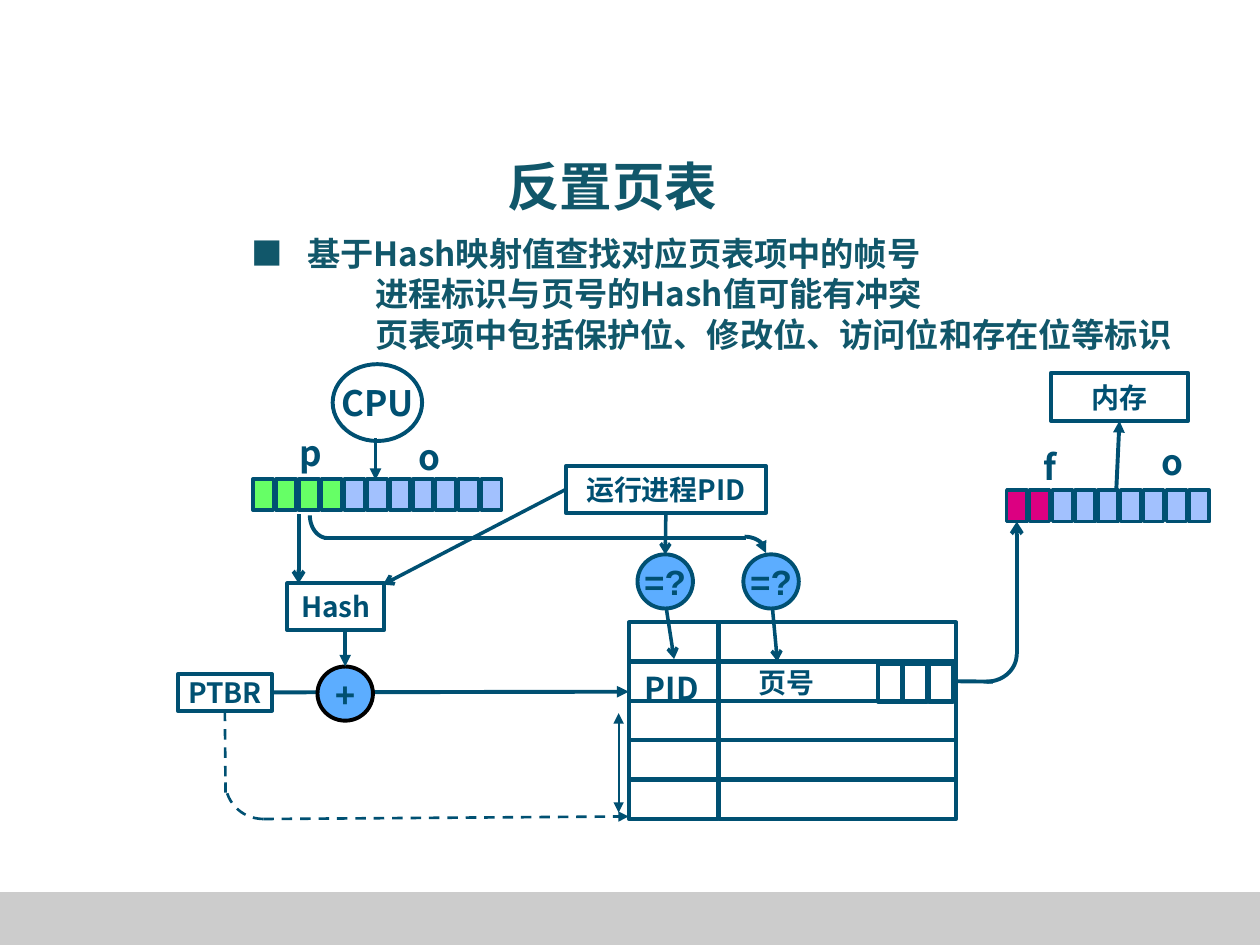
import math

from lxml import etree
from pptx import Presentation
from pptx import util as u
from pptx.dml import color
from pptx.enum import dml, shapes, text
from pptx.oxml import ns

COLORS = {
    "title": "11576A",
    "ink": "005072",
    "black": "000000",
    "footer": "CCCCCC",
    "circle": "5CADFF",
    "page": "66FF66",
    "offset": "A2C1FE",
    "frame": "DC0081",
}
CJK = "Noto Sans CJK SC"
COLUMNS, ROWS = 100, 75
RECT = shapes.MSO_SHAPE.RECTANGLE
OVAL = shapes.MSO_SHAPE.OVAL


class Diagram:
    def __init__(self, presentation):
        self.slide = presentation.slides.add_slide(presentation.slide_layouts[6])
        self.column = presentation.slide_width / COLUMNS
        self.row = presentation.slide_height / ROWS

    def place(self, x, y):
        return round(x * self.column), round(y * self.row)

    def rgb(self, name):
        return color.RGBColor.from_string(COLORS[name])

    def set_text(self, shape, words, size, tint, font=CJK, align=None, wrap=False):
        frame = shape.text_frame
        frame.word_wrap = wrap
        frame.vertical_anchor = text.MSO_ANCHOR.MIDDLE
        paragraph = frame.paragraphs[0]
        paragraph.add_run().text = words
        paragraph.alignment = align
        paragraph.font.size = u.Pt(size)
        paragraph.font.bold = True
        paragraph.font.color.rgb = self.rgb(tint)
        paragraph.font.name = font
        properties = paragraph._p.xpath(".//a:defRPr")[0]
        etree.SubElement(properties, ns.qn("a:ea")).set("typeface", font)
        return paragraph

    def label(self, words, x, y, width, height, size=20, tint="ink", font=CJK, align=None):
        box = self.slide.shapes.add_textbox(*self.place(x, y), *self.place(width, height))
        return self.set_text(box, words, size, tint, font, align, wrap=True)

    def box(self, x, y, width, height, words="", kind=RECT, size=16, font=CJK,
            fill=None, line="ink", weight=2.25):
        shape = self.slide.shapes.add_shape(kind, *self.place(x, y), *self.place(width, height))
        shape.shadow.inherit = False
        if fill:
            shape.fill.solid()
            shape.fill.fore_color.rgb = self.rgb(fill)
        else:
            shape.fill.background()
        if line:
            self.stroke(shape, weight, color_name=line)
        else:
            shape.line.fill.background()
        if words:
            self.set_text(shape, words, size, "ink", font, text.PP_ALIGN.CENTER)
        return shape

    def circle(self, words, x, y, line="ink"):
        return self.box(x, y, 4.4, 4.3, words, OVAL, 20, "Arial", "circle", line)

    def cells(self, x, y, fills):
        for index, fill in enumerate(fills):
            self.box(x + index * 1.81, y, 1.6, 2.5, fill=fill, weight=2)

    def stroke(self, shape, weight, dashed=False, head=None, tail=None, color_name="ink"):
        shape.line.color.rgb = self.rgb(color_name)
        shape.line.width = u.Pt(weight)
        if dashed:
            shape.line.dash_style = dml.MSO_LINE.DASH
        outline = shape.line._get_or_add_ln()
        for tag, kind in (("a:headEnd", head), ("a:tailEnd", tail)):
            if kind:
                etree.SubElement(outline, ns.qn(tag)).set("type", kind)

    def line(self, start, end, weight=2.25, begin=None, finish=None, **style):
        connector = self.slide.shapes.add_connector(
            shapes.MSO_CONNECTOR.STRAIGHT, *self.place(*start), *self.place(*end))
        if begin:
            connector.begin_connect(*begin)
        if finish:
            connector.end_connect(*finish)
        self.stroke(connector, weight, **style)
        etree.SubElement(connector._element.spPr, ns.qn("a:effectLst"))

    def bend(self, start, end, weight=2.25, **style):
        (x0, y0), (x1, y1) = start, end
        angles = [math.radians(degrees) for degrees in range(0, 91, 6)]
        points = [self.place(x0 + (x1 - x0) * math.sin(a), y1 + (y0 - y1) * math.cos(a))
                  for a in angles]
        builder = self.slide.shapes.build_freeform(*points[0])
        builder.add_line_segments(points[1:], close=False)
        shape = builder.convert_to_shape()
        shape.shadow.inherit = False
        shape.fill.background()
        self.stroke(shape, weight, **style)


def draw_heading(diagram):
    diagram.box(0, 70.8, 100, 4.2, fill="footer", line=None)
    title = diagram.label("反置页表", 23.6, 12.1, 50, 5.8, 30, "title",
                          align=text.PP_ALIGN.CENTER)
    title.line_spacing = 0.95
    diagram.label("■", 19, 18.1, 4.5, 4, 18, "title", "Noto Sans CJK JP")
    for words, x, y, width in (
        ("基于Hash映射值查找对应页表项中的帧号", 23.4, 18, 75),
        ("进程标识与页号的Hash值可能有冲突", 28.8, 21.2, 50),
        ("页表项中包括保护位、修改位、访问位和存在位等标识", 28.8, 24.4, 68.8),
    ):
        diagram.label(words, x, y, width, 4.2, 19, "title")


def draw_addresses(diagram):
    diagram.box(26.4, 28.9, 7.1, 6.1, "CPU", OVAL, 20)
    diagram.line((29.8, 34.8), (29.8, 38.1), tail="triangle")
    diagram.cells(20.1, 38, ["page"] * 4 + ["offset"] * 7)
    memory = diagram.box(83.4, 29.6, 10.9, 3.8, "内存")
    diagram.line((88.6, 38.8), (88.6, 33.4), finish=(memory, 2), tail="triangle")
    diagram.cells(79.9, 38.9, ["frame"] * 2 + ["offset"] * 7)
    for words, x, y in (("p", 22.8, 33.8), ("o", 32.2, 34.1),
                        ("f", 81.8, 34.9), ("o", 91.2, 34.5)):
        diagram.label(words, x, y, 5.1, 4.3)


def draw_table(diagram):
    values = []
    for index in range(5):
        y = 49.4 + index * 3.12
        diagram.box(49.9, y, 7.1, 3.1)
        values.append(diagram.box(57.1, y, 18.8, 3.1))
    for index in range(3):
        diagram.box(69.7 + index * 2, 52.7, 1.9, 3)
    diagram.label("PID", 50.2, 52.6, 9.5, 4, 18)
    diagram.label("页号", 59.2, 52.3, 11.5, 3.7, 16)
    diagram.line((49.1, 64.5), (49.1, 56.6), 1, head="triangle", tail="triangle")
    return values[1]


def draw_lookup(diagram, entry):
    base = diagram.box(14.1, 53.5, 7.5, 2.9, "PTBR")
    diagram.line((21.8, 54.9), (49.9, 54.9), begin=(base, 3), tail="triangle")
    diagram.line((17.9, 56.6), (17.9, 62.9), 1.5, begin=(base, 2), dashed=True)
    diagram.bend((20.9, 65), (17.9, 62.1), 1.5, dashed=True)
    diagram.line((20.9, 65), (49.9, 64.8), 1.5, dashed=True, tail="triangle")
    adder = diagram.circle("+", 25.2, 52.9, "black")

    process = diagram.box(44.9, 37, 15.9, 3.7, "运行进程PID")
    diagram.box(22.8, 46.3, 7.7, 3.7, "Hash")
    diagram.line((44.9, 38.8), (30.4, 46.4), 2, begin=(process, 1), tail="arrow")
    diagram.line((27.4, 50.1), (27.4, 52.9), finish=(adder, 0), tail="triangle")
    diagram.line((23.7, 40.8), (23.7, 46.3), tail="arrow")

    diagram.line((52.7, 47.1), (53.5, 52.3), 2, tail="arrow")
    diagram.line((61.2, 47.1), (61.7, 52.5), 2, tail="arrow")
    compare_process = diagram.circle("=?", 50.6, 44)
    diagram.circle("=?", 59, 44)
    diagram.line((52.8, 40.7), (52.8, 44), 2, begin=(process, 2),
                 finish=(compare_process, 0), tail="arrow")

    diagram.bend((26, 42.7), (24.6, 40.9))
    diagram.line((25.7, 42.7), (59.2, 42.7))
    diagram.bend((59.1, 42.6), (60.8, 43.9), tail="triangle")

    diagram.line((75.8, 54.1), (78.8, 54.1), begin=(entry, 3))
    diagram.bend((78.3, 54.1), (80.7, 51.9))
    diagram.line((80.7, 51.9), (80.7, 41.4), tail="arrow")


def main():
    presentation = Presentation()
    presentation.slide_width = u.Inches(10)
    presentation.slide_height = u.Inches(7.5)
    diagram = Diagram(presentation)
    draw_heading(diagram)
    draw_addresses(diagram)
    entry = draw_table(diagram)
    draw_lookup(diagram, entry)
    presentation.save("out.pptx")


if __name__ == "__main__":
    main()
